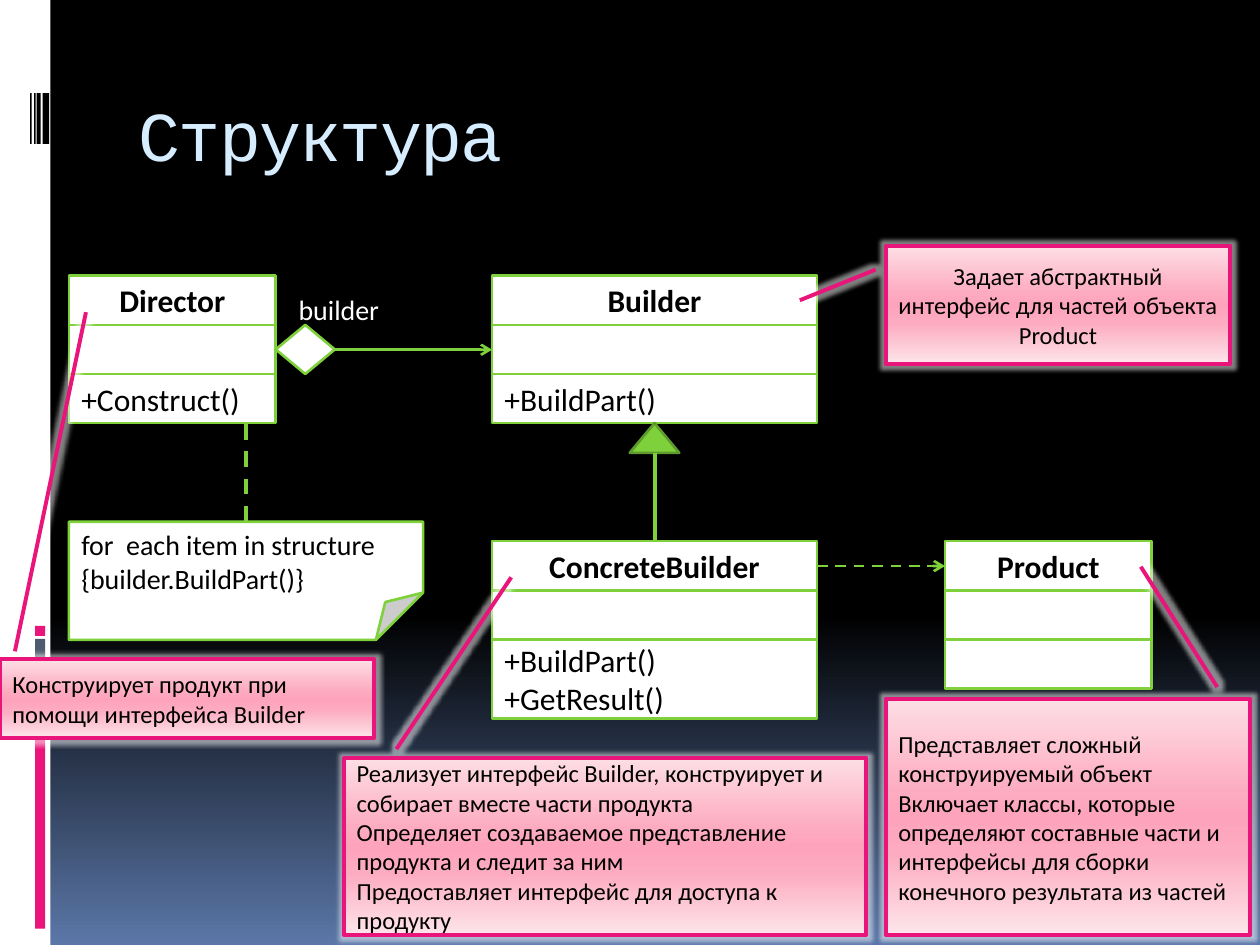
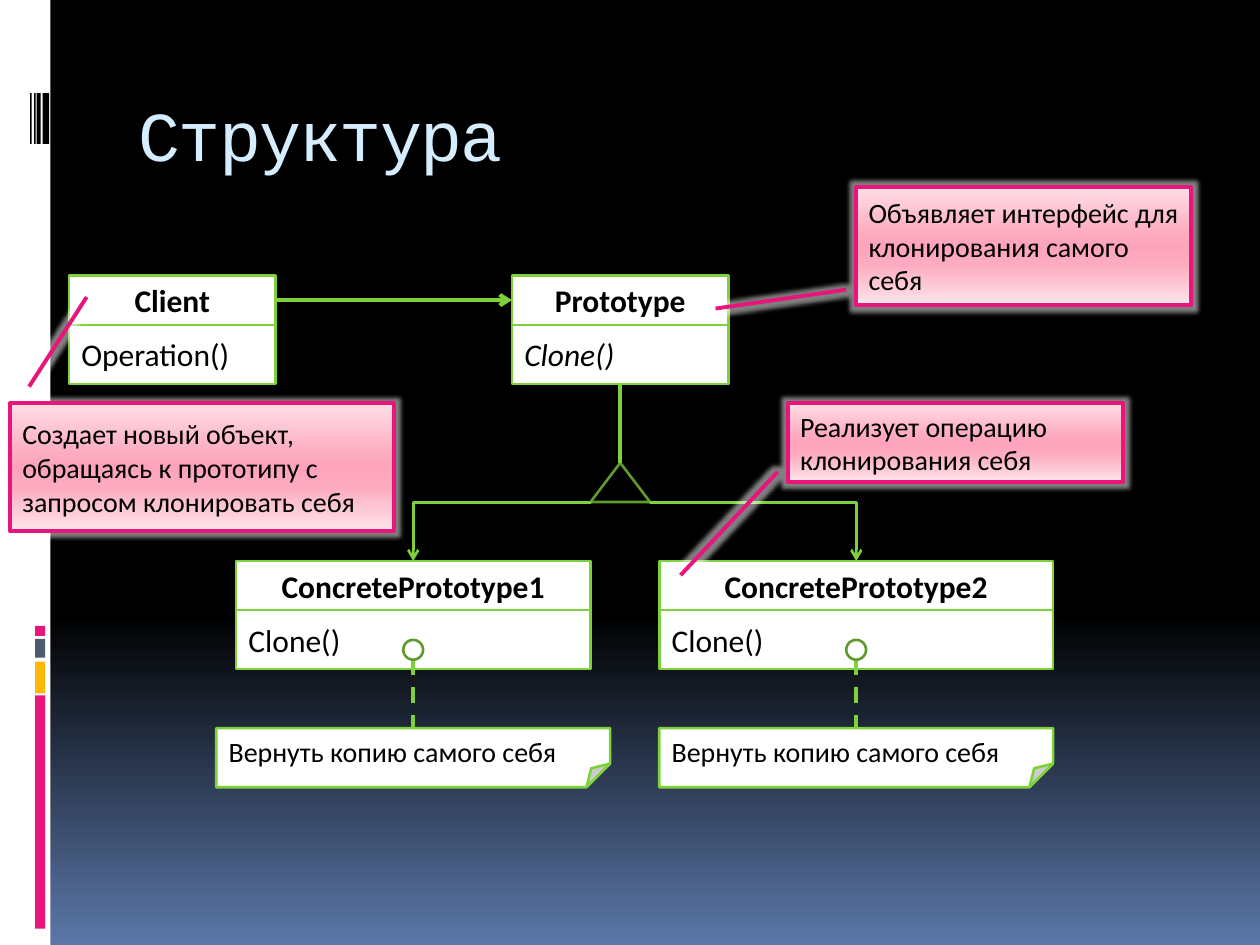
from lxml.etree import SubElement
from pptx import Presentation
from pptx.dml.color import RGBColor
from pptx.enum.dml import MSO_LINE
from pptx.enum.shapes import MSO_CONNECTOR, MSO_SHAPE
from pptx.enum.text import MSO_ANCHOR, MSO_AUTO_SIZE, PP_ALIGN
from pptx.oxml.ns import qn
from pptx.util import Cm, Pt

# Colours and fonts
BLACK = RGBColor(0x00, 0x00, 0x00)
WHITE = RGBColor(0xFF, 0xFF, 0xFF)
PALE_BLUE = RGBColor(0xD6, 0xEC, 0xFF)
BLUE = RGBColor(0x5B, 0x77, 0xA8)
SLATE = RGBColor(0x4E, 0x5B, 0x6F)
AMBER = RGBColor(0xFE, 0xB8, 0x0A)
PINK = RGBColor(0xEA, 0x15, 0x7A)
GREEN = RGBColor(0x7F, 0xD1, 0x3B)
DARK_GREEN = RGBColor(0x5E, 0x9B, 0x2C)
NIGHT = [(0, BLACK), (65, BLACK), (100, BLUE)]
ROSE = [(0, RGBColor(0xFD, 0xDE, 0xE5)), (40, RGBColor(0xFD, 0xAB, 0xC0)),
        (50, RGBColor(0xFD, 0xA3, 0xBB)), (65, RGBColor(0xFD, 0xAB, 0xC0)),
        (100, RGBColor(0xFD, 0xE5, 0xEB))]
BODY_FONT, TITLE_FONT = "Calibri", "Courier New"

# Class diagram measures, in centimetres
HEAD = 0.99          # height of a class name or an empty row
METHOD = 1.19        # height of a method row on the second slide
LEFT = 1.39          # left edge of the first class
TOP = 5.56           # top of the upper classes
NARROW = 4.17        # width of the small classes


def set_gradient(fill, holder, stops):
    """Fill from top to bottom with (percent, colour) stops."""
    fill.gradient()
    fill.gradient_angle = 270
    stop_list = holder.find(".//" + qn("a:gsLst"))
    stop_list.clear()
    for percent, color in stops:
        stop = SubElement(stop_list, qn("a:gs"), pos=str(percent * 1000))
        SubElement(stop, qn("a:srgbClr"), val=str(color))


def set_guides(shape, **guides):
    """Set the named adjustments of a shape or connector."""
    guide_list = shape.element.find(".//" + qn("a:avLst"))
    guide_list.clear()
    for name, value in guides.items():
        SubElement(guide_list, qn("a:gd"), name=name,
                   fmla=f"val {round(value * 100000)}")


def write_text(frame, text, size=18, font=BODY_FONT, color=BLACK, bold=False,
               italic=False, align=PP_ALIGN.LEFT, anchor=MSO_ANCHOR.MIDDLE):
    """One paragraph per line of text; a vertical tab breaks a line."""
    frame.word_wrap = True
    frame.vertical_anchor = anchor
    for index, line in enumerate(text.split("\n")):
        para = frame.add_paragraph() if index else frame.paragraphs[0]
        para.text = line
        para.alignment = align
        for span in para.runs:
            span.font.name = font
            span.font.size = Pt(size)
            span.font.color.rgb = color
            span.font.bold = bold
            span.font.italic = italic


def add_box(page, kind, left, top, width, height, fill=None, line=None,
            weight=1.5):
    box = page.shapes.add_shape(kind, Cm(left), Cm(top), Cm(width), Cm(height))
    box.shadow.inherit = False
    if fill is None:
        box.fill.background()
    else:
        box.fill.solid()
        box.fill.fore_color.rgb = fill
    if line is None:
        box.line.fill.background()
    else:
        box.line.color.rgb = line
        box.line.width = Pt(weight)
    return box


def add_line(page, x1, y1, x2, y2, weight=1.5, dashed=False, arrow=False,
             kind=MSO_CONNECTOR.STRAIGHT):
    line = page.shapes.add_connector(kind, Cm(x1), Cm(y1), Cm(x2), Cm(y2))
    line.line.color.rgb = GREEN
    line.line.width = Pt(weight)
    if dashed:
        line.line.dash_style = MSO_LINE.DASH
    if arrow:
        SubElement(line.element.find(".//" + qn("a:ln")), qn("a:tailEnd"),
                   type="arrow")
    SubElement(line.element.spPr, qn("a:effectLst"))
    return line


def add_branch(page, x1, y1, x2, y2):
    """Elbow arrow that runs sideways first, then drops to its target."""
    middle_x, middle_y = (x1 + x2) / 2, (y1 + y2) / 2
    half_drop, half_run = (y2 - y1) / 2, abs(x2 - x1) / 2
    leftward = x2 < x1
    side = 1 if leftward else -1
    line = add_line(page, middle_x - side * half_drop, middle_y - half_run,
                    middle_x + side * half_drop, middle_y + half_run,
                    arrow=True, kind=MSO_CONNECTOR.ELBOW)
    turn = 90 if leftward else 270
    line.element.find(".//" + qn("a:xfrm")).set("rot", str(turn * 60000))
    set_guides(line, adj1=0.01)


def add_class(page, left, top, width, name, rows, italic=False):
    """Class box: a bold name above (text, height) rows."""
    head = add_box(page, MSO_SHAPE.RECTANGLE, left, top, width, HEAD,
                   WHITE, GREEN)
    write_text(head.text_frame, name, bold=True, align=PP_ALIGN.CENTER)
    top += HEAD
    for text, height in rows:
        row = add_box(page, MSO_SHAPE.RECTANGLE, left, top, width, height,
                      WHITE, GREEN)
        if text:
            write_text(row.text_frame, text, italic=italic)
        top += height


def add_note(page, left, top, width, height, text):
    note = add_box(page, MSO_SHAPE.FOLDED_CORNER, left, top, width, height,
                   WHITE, GREEN)
    set_guides(note, adj=0.4)
    write_text(note.text_frame, text, size=16, anchor=MSO_ANCHOR.TOP)


def add_callout(page, left, top, width, height, pointer, text, **text_format):
    """Glowing pink callout; pointer holds y, x of both ends of its line."""
    callout = add_box(page, MSO_SHAPE.LINE_CALLOUT_1, left, top, width, height,
                      WHITE, PINK, 2.25)
    set_gradient(callout.fill, callout.element, ROSE)
    y1, x1, y2, x2 = pointer
    set_guides(callout, adj1=y1, adj2=x1, adj3=y2, adj4=x2)
    effects = callout.element.spPr.find(qn("a:effectLst"))
    glow = SubElement(effects, qn("a:glow"), rad=str(Pt(5)))
    tint = SubElement(glow, qn("a:srgbClr"), val=str(WHITE))
    SubElement(tint, qn("a:alpha"), val="50000")
    write_text(callout.text_frame, text, **text_format)


def add_page(deck, layout, title):
    page = deck.slides.add_slide(layout)
    box = page.shapes.title
    box.left, box.top, box.width, box.height = Cm(2.54), Cm(1.42), Cm(21.59), Cm(2.54)
    write_text(box.text_frame, title, size=40, font=TITLE_FONT, color=PALE_BLUE)
    box.text_frame.auto_size = MSO_AUTO_SIZE.NONE
    box.element.find(".//" + qn("a:rPr")).set("spc", "-100")
    return page


def decorate_layout(page, layout):
    """Draw the side band once and move it to the shared layout."""
    band = [(0, 0, 1.02, 19.05, WHITE)]
    band += [(0.71, top, 0.2, height, color) for top, height, color in (
        (14.02, 4.7, PINK), (13.34, 0.64, AMBER),
        (12.88, 0.38, SLATE), (12.62, 0.2, PINK))]
    band += [(left, 1.88, width, 1.02, BLACK) for left, width in (
        (0.86, 0.13), (0.74, 0.08), (0.69, 0.03), (0.61, 0.03))]
    for index, (left, top, width, height, color) in enumerate(band):
        bar = add_box(page, MSO_SHAPE.RECTANGLE, left, top, width, height, color)
        layout.shapes.element.insert(2 + index, bar.element)


def draw_builder(page):
    wide_left, wide, lower, right = 9.92, 6.55, 10.91, 19.05
    middle = wide_left + wide / 2
    bottom = TOP + 3 * HEAD
    empty = ("", HEAD)

    # Classes and note
    add_class(page, LEFT, TOP, NARROW, "Director", [empty, ("+Construct()", HEAD)])
    add_note(page, LEFT, 10.52, 7.14, 2.38,
             "for  each item in structure\n{builder.BuildPart()}")
    add_class(page, wide_left, TOP, wide, "Builder", [empty, ("+BuildPart()", HEAD)])
    add_class(page, wide_left, lower, wide, "ConcreteBuilder",
              [empty, ("+BuildPart()\v+GetResult()", 1.59)])
    add_class(page, right, lower, NARROW, "Product", [empty, empty])

    # Relations
    add_box(page, MSO_SHAPE.DIAMOND, LEFT + NARROW, TOP + HEAD, 1.19, HEAD,
            WHITE, GREEN)
    add_line(page, 6.75, 7.05, wide_left, 7.05, arrow=True)
    add_line(page, 4.96, 10.52, 4.96, bottom, 2.25, dashed=True)
    add_box(page, MSO_SHAPE.ISOSCELES_TRIANGLE, middle - 0.5, bottom, 1, 0.6,
            GREEN, DARK_GREEN)
    add_line(page, middle, bottom + 0.6, middle, lower, 2.25)
    add_line(page, wide_left + wide, 11.41, right, 11.41, dashed=True, arrow=True)
    label = page.shapes.add_textbox(Cm(5.77), Cm(5.77), Cm(2.38), Cm(0.94))
    write_text(label.text_frame, "builder", size=16, color=WHITE,
               anchor=MSO_ANCHOR.TOP)

    # Explanations
    add_callout(page, 17.86, 4.96, 6.94, 2.38, (0.2, -0.03, 0.46, -0.25),
                "Задает абстрактный интерфейс для частей объекта Product",
                size=14, align=PP_ALIGN.CENTER)
    add_callout(page, 6.94, 15.28, 10.52, 3.57, (-0.05, 0.1, -1.02, 0.32),
                "Реализует интерфейс Builder, конструирует и собирает вместе "
                "части продукта\n"
                "Определяет создаваемое представление продукта и следит за ним\n"
                "Предоставляет интерфейс для доступа к продукту", size=14)
    add_callout(page, 0, 13.29, 7.54, 1.59, (-0.1, 0.04, -4.4, 0.23),
                "Конструирует продукт при помощи интерфейса Builder", size=14)
    add_callout(page, 17.86, 14.09, 7.34, 4.76, (-0.05, 0.91, -0.56, 0.7),
                "Представляет сложный конструируемый объект\n"
                "Включает классы, которые определяют составные части и "
                "интерфейсы для сборки конечного результата из частей", size=14)


def draw_prototype(page):
    parent_left, parent_width, lower = 10.32, 4.37, 11.31
    middle = parent_left + parent_width / 2
    bottom = TOP + HEAD + METHOD
    base = 10.12

    # Upper classes
    add_class(page, LEFT, TOP, NARROW, "Client", [("Operation()", METHOD)])
    add_class(page, parent_left, TOP, parent_width, "Prototype",
              [("Clone()", METHOD)], italic=True)
    add_line(page, LEFT + NARROW, 6.05, parent_left, 6.05, 2.25, arrow=True)
    add_box(page, MSO_SHAPE.ISOSCELES_TRIANGLE, middle - 0.6, base - 0.79, 1.2,
            0.79, line=DARK_GREEN)
    add_line(page, middle, bottom, middle, base - 0.79, 2.25)

    # Concrete prototypes, each with its note
    for name, center, width, start in (
            ("ConcretePrototype1", 8.33, 7.14, middle - 0.6),
            ("ConcretePrototype2", 17.26, 7.94, middle + 0.6)):
        add_class(page, center - width / 2, lower, width, name,
                  [("Clone()", METHOD)])
        add_branch(page, start, base, center, lower)
        add_note(page, center - 3.97, 14.68, 7.94, 1.19,
                 "Вернуть копию самого себя")
        add_line(page, center, 13.3, center, 14.68, 2.25, dashed=True)
        add_box(page, MSO_SHAPE.OVAL, center - 0.2, 12.9, 0.4, 0.4,
                line=DARK_GREEN)

    # Explanations
    add_callout(page, 17.26, 3.77, 6.75, 2.38, (0.87, -0.03, 1.03, -0.42),
                "Объявляет интерфейс для клонирования самого себя", size=16)
    add_callout(page, 15.88, 8.13, 6.75, 1.59, (0.87, -0.03, 2.18, -0.32),
                "Реализует операцию клонирования себя", size=16)
    add_callout(page, 0.2, 8.13, 7.74, 2.58, (-0.13, 0.05, -0.83, 0.2),
                "Создает новый объект, обращаясь к прототипу с запросом "
                "клонировать себя", size=16)


def main():
    deck = Presentation()
    deck.slide_width, deck.slide_height = Cm(25.4), Cm(19.05)
    master = deck.slide_master
    set_gradient(master.background.fill, master.element, NIGHT)
    layout = deck.slide_layouts.get_by_name("Title Only")
    for number, draw in enumerate((draw_builder, draw_prototype)):
        page = add_page(deck, layout, "Структура")
        if number == 0:
            decorate_layout(page, layout)
        draw(page)
    deck.save("out.pptx")


main()
